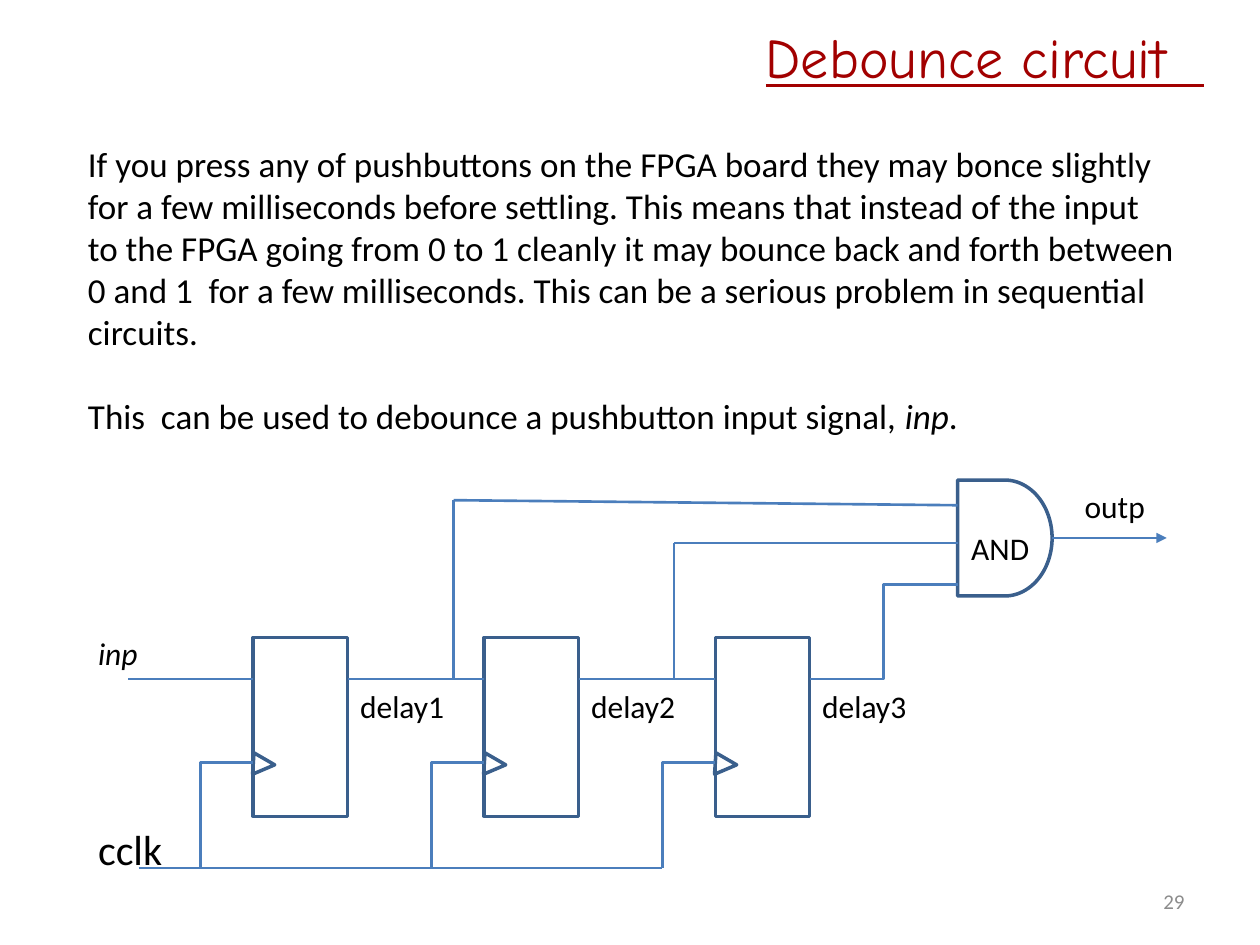
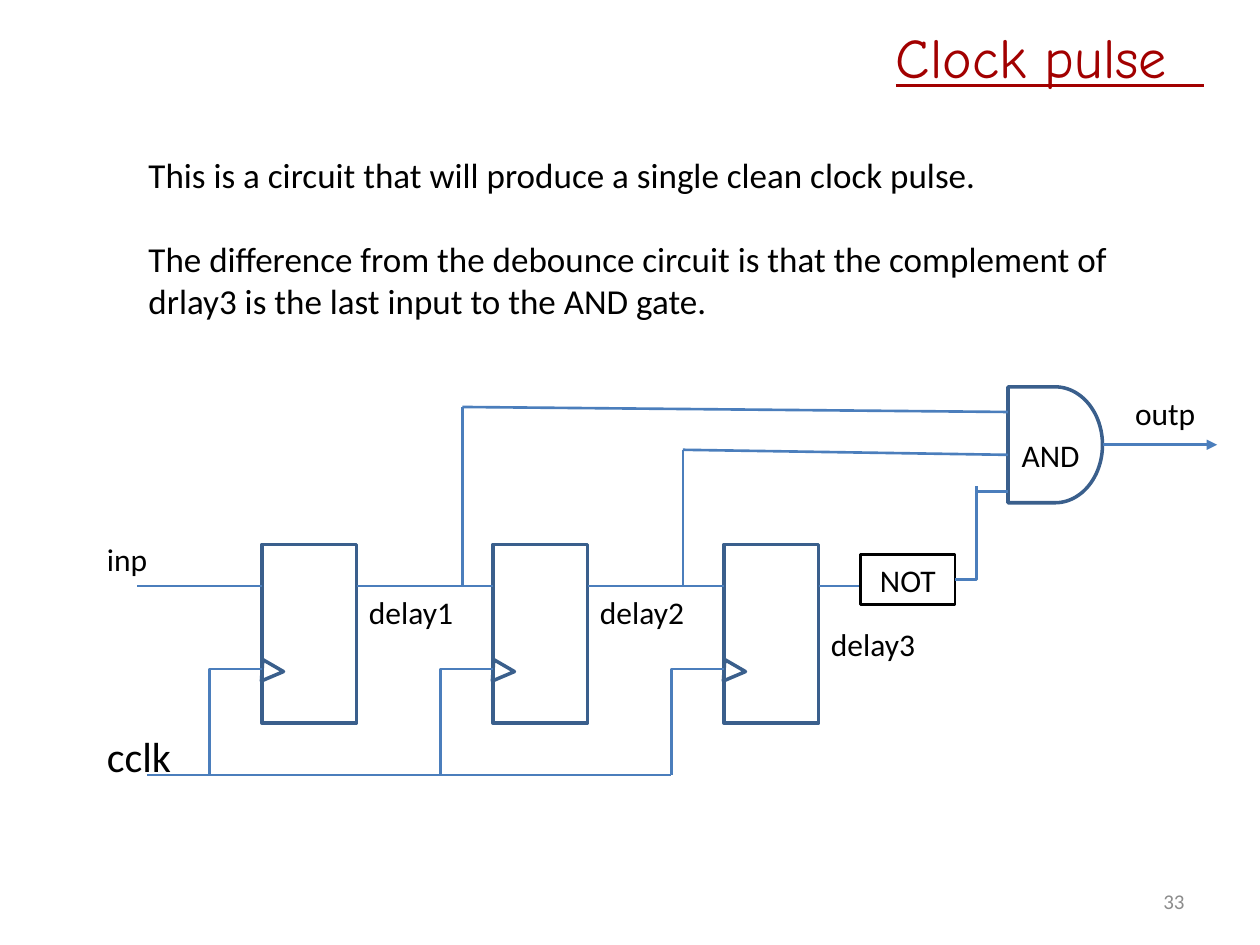
"""Builds two slides on a pushbutton debounce circuit and a clock pulse circuit."""
from lxml import etree
from pptx import Presentation
from pptx.dml.color import RGBColor
from pptx.enum.shapes import MSO_CONNECTOR, MSO_SHAPE
from pptx.enum.text import MSO_ANCHOR, MSO_AUTO_SIZE, PP_ALIGN
from pptx.oxml.ns import qn
from pptx.util import Inches, Pt

SLIDES = [
    {
        "title": "Debounce circuit  ",
        "number": "29",
        "body_box": (0.6, 1.08, 8.83, 2.46),
        "body": [
            [("If you press any of pushbuttons on the FPGA board they may bonce slightly "
              "for a few milliseconds before settling. This means that instead of the input "
              "to the FPGA going from 0 to 1 cleanly it may bounce back and forth between "
              "0 and 1  for a few milliseconds. This can be a serious problem in sequential "
              "circuits.", False)],
            [("This  can be used to debounce a pushbutton input signal, ", False),
             ("inp", True), (".", False)],
        ],
        "origin": (2.01, 5.06),
        "gate_x": 5.59,
        "second_input_y": -0.75,
        "input_italic": True,
        "inverted": False,
    },
    {
        "title": "Clock pulse  ",
        "number": "33",
        "body_box": (1.08, 1.17, 8.25, 1.45),
        "body": [
            [("This is a circuit that will produce a single clean clock pulse.", False)],
            [("The difference from the debounce circuit is that the complement of "
              "drlay3 is the last input to the AND gate.", False)],
        ],
        "origin": (2.08, 4.32),
        "gate_x": 5.92,
        "second_input_y": -0.71,
        "input_italic": False,
        "inverted": True,
    },
]
DELAYS = ["delay1", "delay2", "delay3"]

COLORS = {"title": "A20000", "text": "000000", "number": "8C8C8C",
          "outline": "3A5F8C", "wire": "4B7EBC"}
BODY_FONT, TITLE_FONT = "Calibri", "Comic Neue"
TITLE_BOX = (0.36, 0.13, 9.3, 0.7)
NUMBER_BOX = (7.17, 6.95, 2.33, 0.4)

PITCH = 11 / 6
BLOCK_W, BLOCK_H = 0.75, 1.42
GATE_H = 0.92
DATA_Y, CLOCK_Y, BUS_Y = 0.33, 0.99, 1.83
CLOCK_LEAD = 0.42

STRAIGHT, ELBOW = MSO_CONNECTOR.STRAIGHT, MSO_CONNECTOR.ELBOW
RECT, TRIANGLE, AND_GATE = MSO_SHAPE.RECTANGLE, MSO_SHAPE.ISOSCELES_TRIANGLE, MSO_SHAPE.FLOWCHART_DELAY
LEFT, RIGHT, CENTER = PP_ALIGN.LEFT, PP_ALIGN.RIGHT, PP_ALIGN.CENTER
TOP, MIDDLE = MSO_ANCHOR.TOP, MSO_ANCHOR.MIDDLE


def inches(values):
    return [Inches(value) for value in values]


def write(shape, text, size=18, font=BODY_FONT, color="text", align=LEFT, anchor=TOP,
          italic=False, underline=False, gap=0):
    """Fill a shape with a string or with paragraphs of (text, italic) runs."""
    frame = shape.text_frame
    frame.word_wrap = True
    frame.auto_size = MSO_AUTO_SIZE.NONE
    frame.vertical_anchor = anchor
    paragraphs = [[(text, italic)]] if isinstance(text, str) else text
    for index, runs in enumerate(paragraphs):
        paragraph = frame.add_paragraph() if index else frame.paragraphs[0]
        paragraph.alignment = align
        paragraph.space_before = Pt(gap if index else 0)
        for words, slanted in runs:
            run = paragraph.add_run()
            run.text = words
            run.font.name, run.font.size = font, Pt(size)
            run.font.italic, run.font.underline = slanted, underline
            run.font.color.rgb = RGBColor.from_string(COLORS[color])


def add_text(canvas, box, text, **style):
    write(canvas.add_textbox(*inches(box)), text, **style)


def add_outline(canvas, kind, box, color="outline", width=2, rotation=0):
    shape = canvas.add_shape(kind, *inches(box))
    shape.shadow.inherit = False
    shape.fill.background()
    shape.line.color.rgb = RGBColor.from_string(COLORS[color])
    shape.line.width = Pt(width)
    shape.rotation = rotation
    return shape


def add_wire(canvas, start, end, kind=STRAIGHT, arrow=False):
    wire = canvas.add_connector(kind, *inches(start + end))
    wire.line.color.rgb = RGBColor.from_string(COLORS["wire"])
    wire.line.width = Pt(1.5)
    properties = wire._element.spPr
    if arrow:
        etree.SubElement(properties.find(qn("a:ln")), qn("a:tailEnd"), type="triangle")
    etree.SubElement(properties, qn("a:effectLst"))
    return wire


def add_corner(canvas, start, end, rising_first=False):
    """Draw a one-bend wire up to the right, going up or right first."""
    if rising_first:
        (x1, y1), (x2, y2) = start, end
        mid_x, mid_y = (x1 + x2) / 2, (y1 + y2) / 2
        half_w, half_h = (y1 - y2) / 2, (x2 - x1) / 2
        start = (mid_x + half_w, mid_y + half_h)
        end = (mid_x - half_w, mid_y - half_h)
    properties = add_wire(canvas, start, end, ELBOW)._element.spPr
    properties.find(qn("a:prstGeom")).set("prst", "bentConnector2")
    if rising_first:
        properties.find(qn("a:xfrm")).set("rot", "5400000")


def add_circuit(canvas, content):
    left, top = content["origin"]
    gate_x, inverted = content["gate_x"], content["inverted"]

    def at(x, y, *size):
        return (left + x, top + y, *size)

    for index, delay in enumerate(DELAYS):
        x = index * PITCH
        add_outline(canvas, RECT, at(x, 0, BLOCK_W, BLOCK_H))
        add_outline(canvas, TRIANGLE, at(x, 0.92, 0.17, 0.17), rotation=93.5)
        add_corner(canvas, at(x - CLOCK_LEAD, BUS_Y), at(x, CLOCK_Y), rising_first=True)
        data_start = x - PITCH + BLOCK_W if index else -0.99
        add_wire(canvas, at(data_start, DATA_Y), at(x, DATA_Y))
        label_y = 0.59 if inverted and index == 2 else 0.34
        add_text(canvas, at(x + BLOCK_W, label_y, 1, 0.4), delay)
    add_wire(canvas, at(-0.91, BUS_Y), at(2 * PITCH - CLOCK_LEAD, BUS_Y))
    add_text(canvas, at(-1.33, -0.08, 0.83, 0.4), "inp", italic=content["input_italic"])
    add_text(canvas, at(-1.33, 1.43, 0.83, 0.5), "cclk", size=24)

    add_outline(canvas, AND_GATE, at(gate_x, -1.25, BLOCK_W, GATE_H))
    add_text(canvas, at(gate_x + 0.01, -0.91, 0.75, 0.4), "AND")
    add_wire(canvas, at(gate_x + BLOCK_W, -0.79), at(gate_x + 1.66, -0.79), arrow=True)
    add_text(canvas, at(gate_x + 0.91, -1.24, 0.92, 0.4), "outp")

    taps = [(1.59, -1.09, -1.05), (3.34, -0.75, content["second_input_y"])]
    for tap_x, tap_y, input_y in taps:
        add_wire(canvas, at(tap_x, DATA_Y), at(tap_x, tap_y))
        add_wire(canvas, at(tap_x, tap_y), at(gate_x, input_y))

    last_output, last_input = at(2 * PITCH + BLOCK_W, DATA_Y), at(gate_x, -0.42)
    if inverted:
        add_wire(canvas, last_output, at(4.75, DATA_Y))
        inverter = add_outline(canvas, RECT, at(4.75, 0.08, 0.75, 0.4), "text", 1.5)
        write(inverter, "NOT", align=CENTER)
        add_corner(canvas, at(5.5, 0.28), at(5.67, -0.46))
        add_wire(canvas, at(5.67, -0.42), last_input)
    else:
        add_wire(canvas, last_output, last_input, ELBOW)


def add_slide(deck, content):
    slide = deck.slides.add_slide(deck.slide_layouts[5])
    title = slide.shapes.title
    title.left, title.top, title.width, title.height = inches(TITLE_BOX)
    write(title, content["title"], size=32, font=TITLE_FONT, color="title",
          align=RIGHT, underline=True)
    add_text(slide.shapes, NUMBER_BOX, content["number"], size=12, color="number",
             align=RIGHT, anchor=MIDDLE)
    add_circuit(slide.shapes.add_group_shape().shapes, content)
    add_text(slide.shapes, content["body_box"], content["body"], size=20, gap=24)


def main():
    deck = Presentation()
    deck.slide_width, deck.slide_height = Inches(10), Inches(7.5)
    for content in SLIDES:
        add_slide(deck, content)
    deck.save("out.pptx")


if __name__ == "__main__":
    main()
